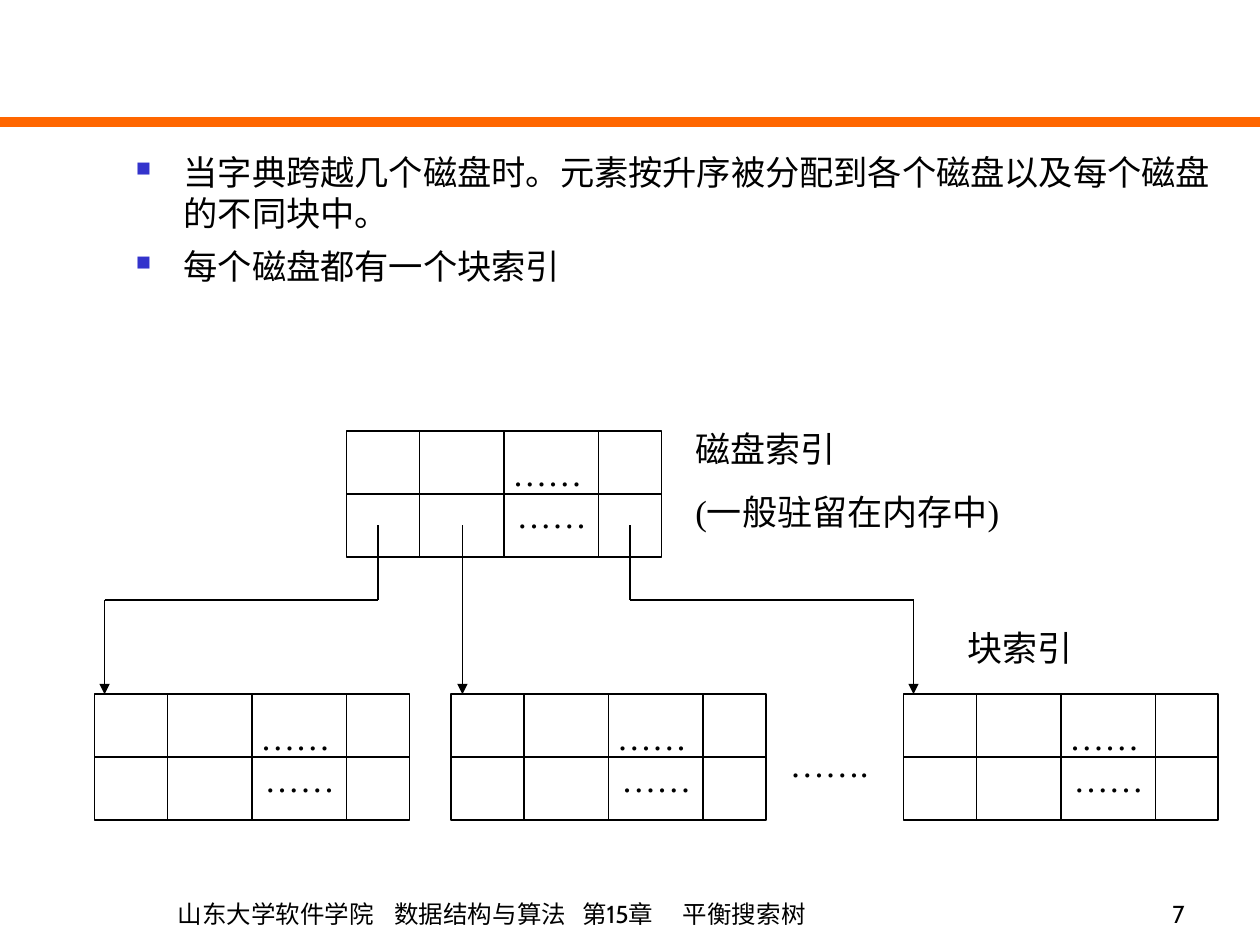
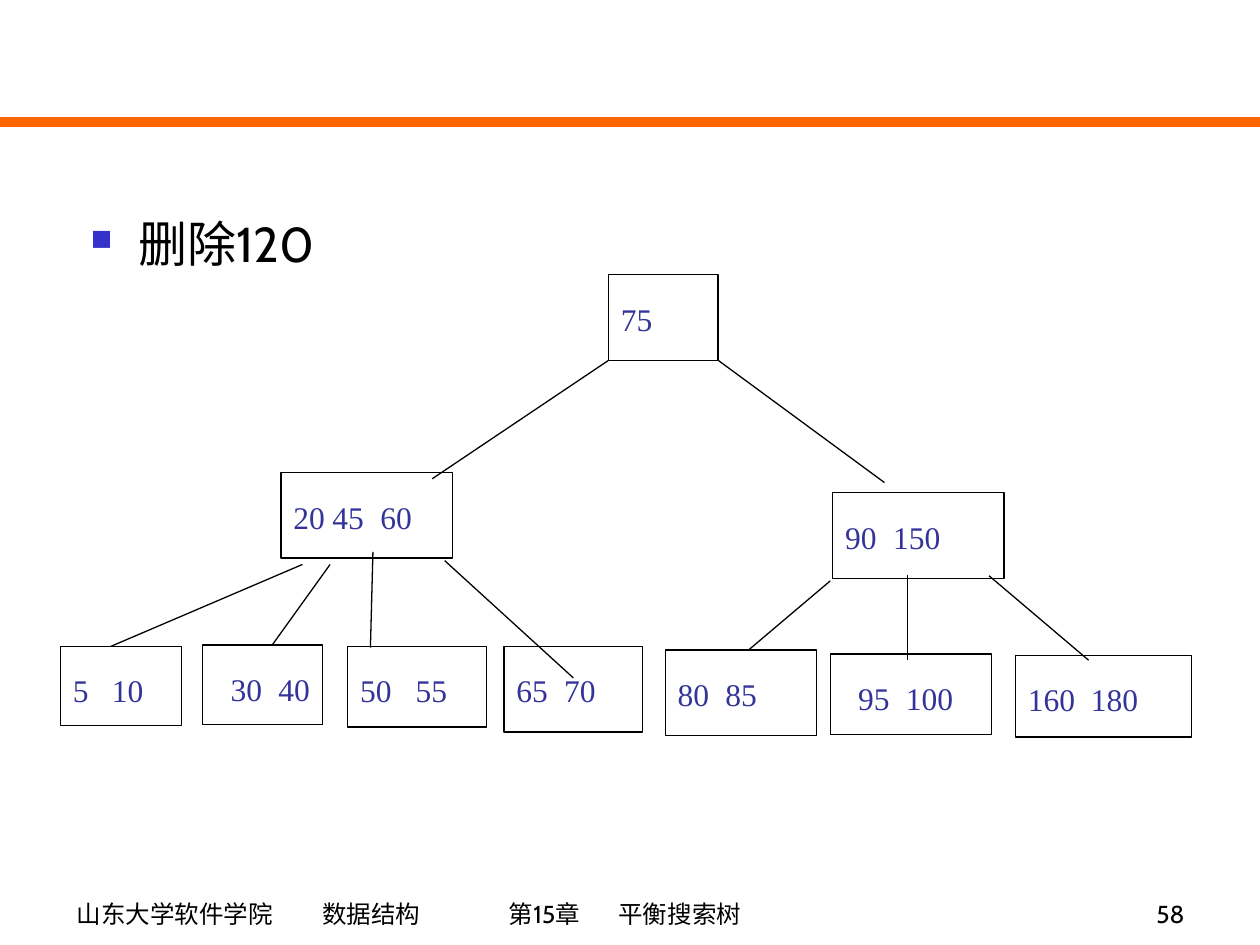
import itertools

import pptx
import pptx.dml.color
import pptx.enum.shapes
import pptx.enum.text
import pptx.oxml.ns
import pptx.util
from lxml import etree

Inches = pptx.util.Inches
Pt = pptx.util.Pt
ALIGN = pptx.enum.text.PP_ALIGN
ANCHOR = pptx.enum.text.MSO_ANCHOR

COLORS = {
    "band": "FF6600",
    "bullet": "3333CC",
    "ink": "000000",
    "key": "333399",
    "paper": "FFFFFF",
}
SANS = "Cabin"
SERIF = "Times New Roman"

FOOTER = {"font": SANS, "size": 14, "anchor": ANCHOR.BOTTOM}
LABEL = {"font": SERIF, "size": 20, "space_before": Pt(12.5)}
KEYS = {"font": SERIF, "size": 18, "color": "key", "line_spacing": 1.5}
BULLET = {"font": SANS, "space_before": Pt(7), "bullet": True}

INDEX_SIZE = (2.5, 1)
INDEX_COLUMNS = (0.58, 1.25, 2)
DISK_INDEX = (2.75, 3.42)
BLOCK_TOP = 5.51
BLOCK_LEFTS = (0.75, 3.58, 7.17)
POINTER_START, POINTER_BEND = 4.17, 4.76

# Left, top, width, height, left inset, first key, then (tab stop, key) pairs
NODES = [
    (4.83, 2.18, 0.87, 0.68, 0.1, "75", []),
    (2.23, 3.75, 1.36, 0.68, 0.1, "20", [(0.31, "45"), (0.69, "60")]),
    (6.61, 3.91, 1.36, 0.68, 0.1, "90", [(0.38, "150")]),
    (0.48, 5.13, 0.96, 0.63, 0.1, "5", [(0.31, "10")]),
    (1.61, 5.12, 0.95, 0.63, 0.22, "30", [(0.38, "40")]),
    (2.76, 5.13, 1.1, 0.64, 0.1, "50", [(0.44, "55")]),
    (4, 5.13, 1.1, 0.68, 0.1, "65", [(0.38, "70")]),
    (5.28, 5.16, 1.2, 0.68, 0.1, "80", [(0.38, "85")]),
    (6.59, 5.19, 1.28, 0.64, 0.22, "95", [(0.38, "100")]),
    (8.06, 5.2, 1.4, 0.65, 0.1, "160", [(0.5, "180")]),
]
BRANCHES = [
    ((4.83, 2.86), (3.43, 3.8)),
    ((5.7, 2.86), (7.02, 3.83)),
    ((2.4, 4.48), (0.88, 5.13)),
    ((2.62, 4.48), (2.16, 5.12)),
    ((2.96, 4.38), (2.94, 5.14)),
    ((3.53, 4.45), (4.55, 5.38)),
    ((6.59, 4.61), (5.94, 5.16)),
    ((7.2, 4.56), (7.2, 5.24)),
    ((7.85, 4.57), (8.64, 5.24)),
]


def rgb(name):
    return pptx.dml.color.RGBColor.from_string(COLORS[name])


def add_xml(parent, tag, **attributes):
    return etree.SubElement(parent, pptx.oxml.ns.qn(tag), attributes)


class Lecture:
    def __init__(self):
        self.deck = pptx.Presentation()
        self.deck.slide_width = Inches(10)
        self.deck.slide_height = Inches(7.5)
        self.page = None

    def new_page(self, number, footer, inset, stops):
        """Start a page with its band, a tabbed footer and its number."""
        self.page = self.deck.slides.add_slide(self.deck.slide_layouts[6])
        self.line((0, 0.97), (10, 0.97), color="band", width=6)
        self.text((0.51, 6.92, 6.85, 0.5), ["\t".join(footer)],
                  inset=inset, stops=stops, **FOOTER)
        self.text((7.42, 6.92, 2.08, 0.5), [number],
                  alignment=ALIGN.RIGHT, **FOOTER)

    def line(self, start, end, color="ink", width=1, arrow=False):
        connector = self.page.shapes.add_connector(
            pptx.enum.shapes.MSO_CONNECTOR.STRAIGHT,
            *map(Inches, start + end))
        connector.line.color.rgb = rgb(color)
        connector.line.width = Pt(width)
        properties = connector._element.spPr
        if arrow:
            outline = properties.find(pptx.oxml.ns.qn("a:ln"))
            add_xml(outline, "a:tailEnd", type="triangle")
        add_xml(properties, "a:effectLst")

    def pointer(self, *points):
        """Draw a bent line whose last part carries the arrowhead."""
        for start, end in itertools.pairwise(points):
            self.line(start, end, arrow=end == points[-1])

    def rectangle(self, place, width, fill=None):
        shape = self.page.shapes.add_shape(
            pptx.enum.shapes.MSO_SHAPE.RECTANGLE, *map(Inches, place))
        shape.shadow.inherit = False
        shape.line.color.rgb = rgb("ink")
        shape.line.width = Pt(width)
        if fill:
            shape.fill.solid()
            shape.fill.fore_color.rgb = rgb(fill)
        else:
            shape.fill.background()
        return shape

    def text(self, place, lines, **style):
        box = self.page.shapes.add_textbox(*map(Inches, place))
        self.set_text(box, lines, **style)

    def set_text(self, box, lines, font, size, color="ink", inset=0.1,
                 anchor=ANCHOR.TOP, stops=(), indents=(), bullet=False, **spacing):
        frame = box.text_frame
        layout = {"word_wrap": True, "vertical_anchor": anchor,
                  "margin_left": Inches(inset)}
        for name, value in layout.items():
            setattr(frame, name, value)
        spacing = {"alignment": ALIGN.LEFT} | spacing
        for number, words in enumerate(lines):
            para = frame.paragraphs[0] if number == 0 else frame.add_paragraph()
            for name, value in spacing.items():
                setattr(para, name, value)
            span = para.add_run()
            span.text = words
            for name, value in {"name": font, "size": Pt(size)}.items():
                setattr(span.font, name, value)
            span.font.color.rgb = rgb(color)
            properties = para._p.get_or_add_pPr()
            if indents:
                properties.set("marL", str(Inches(indents[number])))
            if bullet:
                self.add_bullet(properties)
            if stops:
                tabs = add_xml(properties, "a:tabLst")
                for stop in stops:
                    add_xml(tabs, "a:tab", pos=str(Inches(stop)), algn="l")

    def add_bullet(self, properties):
        properties.set("marL", str(Inches(0.38)))
        properties.set("indent", str(Inches(-0.38)))
        add_xml(add_xml(properties, "a:buClr"), "a:srgbClr", val=COLORS["bullet"])
        add_xml(properties, "a:buSzPct", val="60000")
        add_xml(properties, "a:buChar", char="■")

    def index(self, left, top):
        """Draw an index: two rows, four columns, dots in the third column."""
        width, height = INDEX_SIZE
        frame = self.rectangle((left, top, width, height), 1)
        self.set_text(frame, ["……", "……"], SERIF, 20, anchor=ANCHOR.MIDDLE,
                      alignment=ALIGN.CENTER, indents=(0.69, 0.76))
        middle = top + height / 2
        self.line((left, middle), (left + width, middle))
        for column in INDEX_COLUMNS:
            self.line((left + column, top), (left + column, top + height))

    def node(self, left, top, width, height, inset, first, others):
        shape = self.rectangle((left, top, width, height), 0.75, "paper")
        keys = [first] + [key for _, key in others]
        self.set_text(shape, ["\t".join(keys)], inset=inset,
                      stops=[stop for stop, _ in others], **KEYS)


def build_disk_index(lecture):
    lecture.new_page(
        "7", ["山东大学软件学院", "数据结构与算法", "第15章", "平衡搜索树"],
        inset=0.9, stops=(1.72, 3.21, 4.01))
    lecture.text(
        (0.98, 1.15, 8.75, 1.18),
        ["当字典跨越几个磁盘时。元素按升序被分配到各个磁盘以及每个磁盘的不同块中。",
         "每个磁盘都有一个块索引"], size=19.6, **BULLET)
    lecture.index(*DISK_INDEX)
    for left in BLOCK_LEFTS:
        lecture.index(left, BLOCK_TOP)
    lecture.text((6.17, 5.84, 0.83, 0.44), ["……."], **LABEL)
    for start, end in ((3, 0.83), (5, 7.25)):
        lecture.pointer((start, POINTER_START), (start, POINTER_BEND),
                        (end, POINTER_BEND), (end, BLOCK_TOP))
    lecture.pointer((3.67, POINTER_START), (3.67, BLOCK_TOP))
    lecture.text((5.42, 3.34, 3.58, 0.94), ["磁盘索引", "(一般驻留在内存中)"], **LABEL)
    lecture.text((7.58, 4.92, 2.42, 0.44), ["块索引"], **LABEL)


def build_deletion_tree(lecture):
    lecture.new_page(
        "58", ["山东大学软件学院", "数据结构", "第15章", "平衡搜索树"],
        inset=0.1, stops=(1.95, 3.43, 4.3))
    lecture.text((0.62, 1.7, 9.38, 1.1), ["删除120"], size=28,
                 alignment=ALIGN.JUSTIFY, line_spacing=0.9, **BULLET)
    for node in NODES:
        lecture.node(*node)
    for start, end in BRANCHES:
        lecture.line(start, end, width=0.75)


def main():
    lecture = Lecture()
    build_disk_index(lecture)
    build_deletion_tree(lecture)
    lecture.deck.save("out.pptx")


if __name__ == "__main__":
    main()
